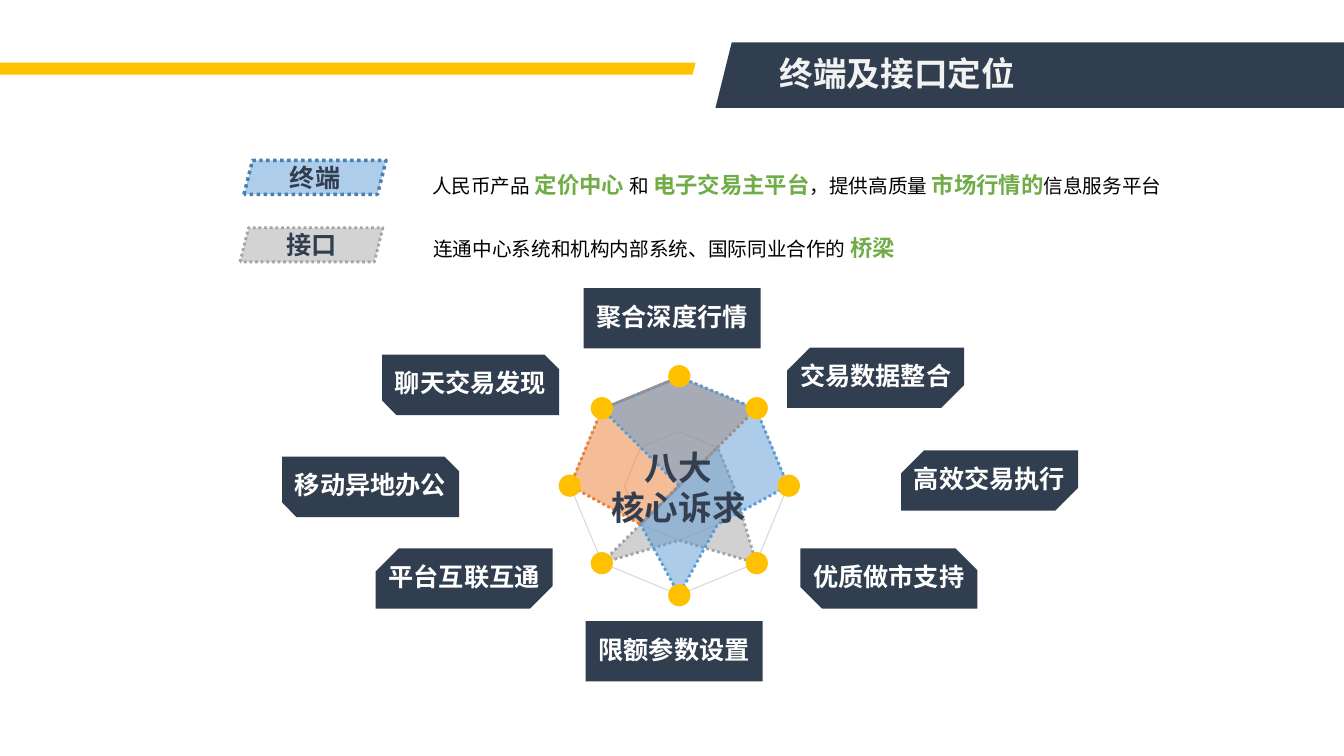
import math

from lxml import etree
from pptx import Presentation
from pptx import util as u
from pptx.chart.data import CategoryChartData
from pptx.dml.color import RGBColor
from pptx.enum import chart as ch, dml, shapes, text
from pptx.oxml import parse_xml
from pptx.oxml.ns import nsdecls, qn

FONT = "Noto Sans CJK SC"
NAVY = RGBColor(0x31, 0x3E, 0x4F)
SLATE = RGBColor(0x33, 0x3F, 0x50)
AMBER = RGBColor(0xFF, 0xC3, 0x00)
DOT = RGBColor(0xFF, 0xC0, 0x00)
GREEN = RGBColor(0x70, 0xAD, 0x47)
WHITE = RGBColor(0xFF, 0xFF, 0xFF)
OFF_WHITE = RGBColor(0xF2, 0xF2, 0xF2)
BLACK = RGBColor(0x00, 0x00, 0x00)
GRID = RGBColor(0xD9, 0xD9, 0xD9)
BLUE = RGBColor(0x5B, 0x9B, 0xD5)
ORANGE = RGBColor(0xED, 0x7D, 0x31)
GREY = RGBColor(0xA5, 0xA5, 0xA5)
PALE_BLUE = RGBColor(0xAD, 0xCD, 0xEB)
STEEL = RGBColor(0x4A, 0x80, 0xB0)
PALE_GREY = RGBColor(0xD3, 0xD3, 0xD3)

PARALLELOGRAM = shapes.MSO_SHAPE.PARALLELOGRAM
CENTER = text.PP_ALIGN.CENTER


def cm(*lengths):
    return [u.Cm(v) for v in lengths]


def add_run(p, words, size, color, bold=True):
    r = p.add_run()
    r.text = words
    r.font.name = FONT
    r.font.size = u.Pt(size)
    r.font.bold = bold
    r.font.color.rgb = color
    etree.SubElement(r.font._element, qn("a:ea"), typeface=FONT)


def add_block(slide, kind, box, fill):
    sp = slide.shapes.add_shape(kind, *cm(*box))
    sp.shadow.inherit = False
    sp.fill.solid()
    sp.fill.fore_color.rgb = fill
    sp.line.fill.background()
    return sp


def add_label(sp, words, size, color):
    tf = sp.text_frame
    tf.word_wrap = False
    tf.vertical_anchor = text.MSO_ANCHOR.MIDDLE
    p = tf.paragraphs[0]
    p.alignment = CENTER
    add_run(p, words, size, color)


def set_dotted(line, color, width):
    line.color.rgb = color
    line.width = u.Pt(width)
    line.dash_style = dml.MSO_LINE.ROUND_DOT


# Header: title band on the right, thin bar on the left
def header(slide, x, y, w, h, title):
    add_block(slide, PARALLELOGRAM, (x, y, w, h), NAVY)
    tb = slide.shapes.add_textbox(*cm(x + 1.37, y + 0.15, 13.56, 1.27))
    tb.text_frame.word_wrap = True
    add_run(tb.text_frame.paragraphs[0], title, 24, OFF_WHITE)
    add_block(slide, PARALLELOGRAM, (-0.4, y + 0.51, x - 0.1, 0.3), AMBER)


# Definition row: dotted tag and its explanation
def definition(slide, x, y, w, h, name, colors, text_box, pieces):
    fill, edge, width = colors
    tag = add_block(slide, PARALLELOGRAM, (x, y, w, h), fill)
    set_dotted(tag.line, edge, width)
    add_label(tag, name, 18, NAVY)
    dx, dy, tw = text_box
    tb = slide.shapes.add_textbox(*cm(x + dx, y + dy, tw, 1.17))
    tb.text_frame.word_wrap = True
    p = tb.text_frame.paragraphs[0]
    p.alignment = text.PP_ALIGN.JUSTIFY
    p.line_spacing = 1.5
    for words, strong in pieces:
        add_run(p, words, 16 if strong else 14, GREEN if strong else BLACK, strong)


# Radar chart
def radar(slide, x, y, w, h):
    data = CategoryChartData()
    data.categories = [str(n) for n in range(1, 9)]
    data.add_series("Series 1", (100, 100, 100, 50, 100, 50, 0, 100))
    data.add_series("Series 2", (100, 100, 0, 0, 0, 50, 100, 100))
    data.add_series("Series 3", (0, 50, 50, 100, 50, 100, 0, 0))
    chart = slide.shapes.add_chart(
        ch.XL_CHART_TYPE.RADAR_FILLED, *cm(x, y, w, h), data).chart
    chart.has_legend = False
    chart.has_title = False
    chart.font.name = FONT
    chart.font.size = u.Pt(10)
    chart.font.color.rgb = BLACK
    chart.category_axis.visible = False
    chart.category_axis.has_major_gridlines = False

    axis = chart.value_axis
    axis.minimum_scale, axis.maximum_scale, axis.major_unit = 0, 100, 50
    axis.tick_label_position = ch.XL_TICK_LABEL_POSITION.NONE
    axis.major_tick_mark = axis.minor_tick_mark = ch.XL_TICK_MARK.NONE
    axis.format.line.fill.background()
    axis.has_major_gridlines = True
    axis.major_gridlines.format.line.color.rgb = GRID
    axis.major_gridlines.format.line.width = u.Pt(0.75)

    for s, color in zip(chart.plots[0].series, (BLUE, ORANGE, GREY)):
        s.format.fill.solid()
        s.format.fill.fore_color.rgb = color
        set_dotted(s.format.line, color, 2)
        clr = s._element.find(qn("c:spPr")).find(qn("a:solidFill"))[0]
        etree.SubElement(clr, qn("a:alpha"), val="50000")

    # Fixed inner plot area
    area = chart._chartSpace.find(".//" + qn("c:plotArea"))
    for old in area.findall(qn("c:layout")):
        area.remove(old)
    places = "".join(f'<c:{k} val="{v}"/>' for k, v in (
        ("layoutTarget", "inner"), ("xMode", "edge"), ("yMode", "edge"),
        ("x", 0.313), ("y", 0.425), ("w", 0.376), ("h", 0.503)))
    area.insert(0, parse_xml(
        f'<c:layout {nsdecls("c")}><c:manualLayout>{places}'
        '</c:manualLayout></c:layout>'))


# Eight demands: centre caption, labels and corner dots
def demands(slide, cx, cy, radius, labels):
    tb = slide.shapes.add_textbox(*cm(cx - 3.18, cy - 1.11, 6.32, 2.31))
    tf = tb.text_frame
    tf.word_wrap = True
    for i, words in enumerate(("八大", "核心诉求")):
        p = tf.add_paragraph() if i else tf.paragraphs[0]
        p.alignment = CENTER
        add_run(p, words, 24, SLATE)

    for words, dx, dy, snips in labels:
        sp = add_block(slide, shapes.MSO_SHAPE.SNIP_2_DIAG_RECTANGLE,
                       (cx + dx, cy + dy, 4.46, 1.52), NAVY)
        sp.adjustments[0], sp.adjustments[1] = snips
        sp.text_frame.margin_bottom = u.Cm(0.23)
        add_label(sp, words, 18, WHITE)

    d = 0.56
    for i in range(8):
        a = i * math.pi / 4
        add_block(slide, shapes.MSO_SHAPE.OVAL,
                  (cx + radius * math.sin(a) - d / 2,
                   cy - radius * math.cos(a) - d / 2, d, d), DOT)


prs = Presentation()
prs.slide_width, prs.slide_height = cm(33.87, 19.05)
slide = prs.slides.add_slide(prs.slide_layouts[6])

radar(slide, 9.8, 4.67, 14.6, 11.2)
header(slide, 18.03, 1.07, 16.51, 1.65, "终端及接口定位")
definition(slide, 6.15, 4.04, 3.58, 0.86, "终端", (PALE_BLUE, STEEL, 2.5),
           (4.49, -0.2, 21.41),
           [("人民币产品 ", False), ("定价中心 ", True), ("和 ", False),
            ("电子交易主平台", True), ("，提供高质量 ", False),
            ("市场行情的", True), ("信息服务平台", False)])
definition(slide, 6.05, 5.74, 3.6, 0.86, "接口", (PALE_GREY, GREY, 2),
           (4.62, -0.3, 12.6),
           [("连通中心系统和机构内部系统、国际同业合作的 ", False), ("桥梁", True)])
demands(slide, 17.12, 12.24, 2.76, [
    ("聚合深度行情", -2.41, -4.98, (0, 0)),
    ("交易数据整合", 2.72, -3.48, (0.38, 0)),
    ("高效交易执行", 5.59, -0.89, (0.38, 0)),
    ("优质做市支持", 3.05, 1.58, (0, 0.36)),
    ("限额参数设置", -2.36, 3.41, (0, 0)),
    ("平台互联互通", -7.65, 1.58, (0.38, 0)),
    ("移动异地办公", -10.01, -0.73, (0, 0.24)),
    ("聊天交易发现", -7.49, -3.3, (0, 0.24)),
])

prs.save("out.pptx")
